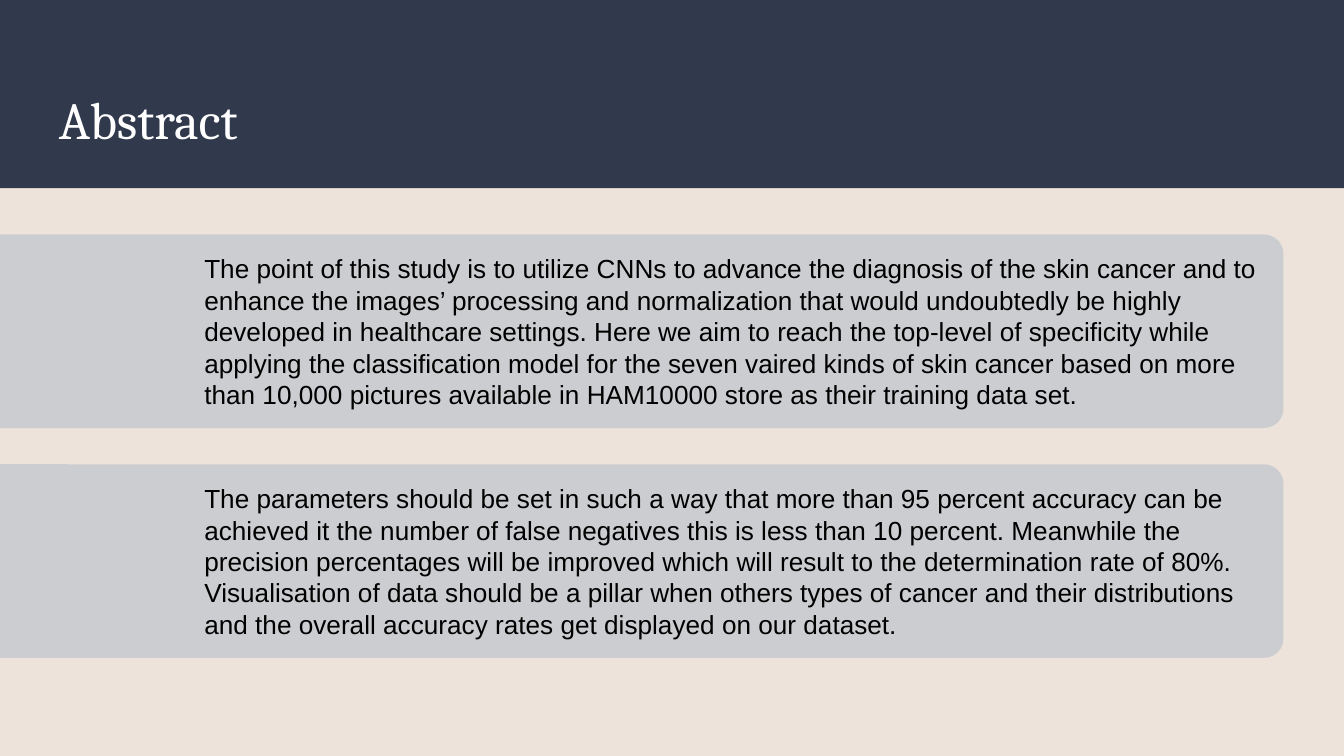
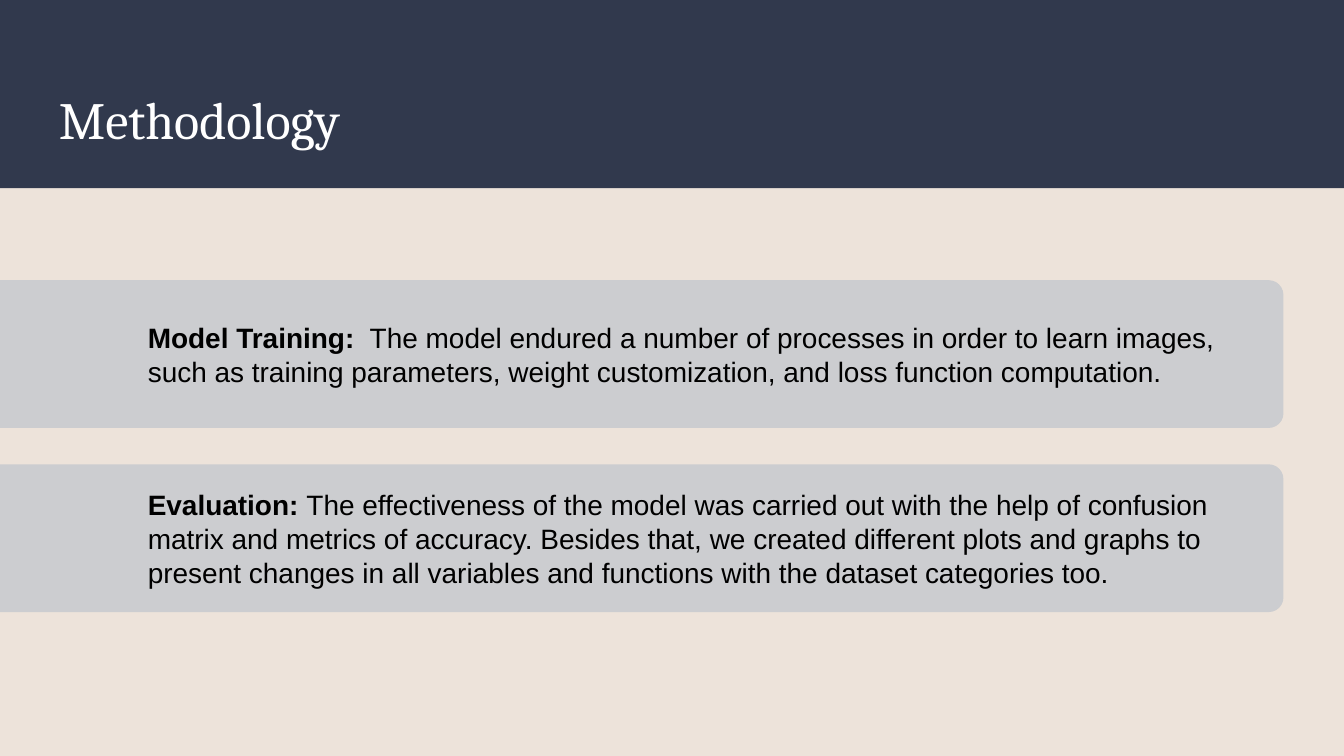
from pptx import Presentation
from pptx.dml.color import RGBColor
from pptx.enum.shapes import MSO_SHAPE as SHAPE
from pptx.enum.text import MSO_ANCHOR as ANCHOR
from pptx.util import Inches, Pt

NAVY, SAND, GREY = "31394D", "EDE3DA", "CCCDD0"
WHITE, BLACK = "FFFFFF", "000000"
HEAD_FONT, BODY_FONT = "Cambria", "Arial"

SLIDE_W = 10
SLIDE_H = SLIDE_W * 9 / 16
BAND_H = 1.4
CARD_LEFT, CARD_RIGHT = -0.29, 9.55
CARDS_MIDDLE, CARD_GAP = 3.32, 0.27

SLIDES = [
    {
        "title": "Abstract",
        "card_h": 1.44, "text_left": 1.37, "inset": 0.15, "size": 14,
        "cards": [
            [("The point of this study is to utilize CNNs to advance the diagnosis of the skin "
              "cancer and to enhance the images’ processing and normalization that would "
              "undoubtedly be highly developed in healthcare settings. Here we aim to reach the "
              "top-level of specificity while applying the classification model for the seven "
              "vaired kinds of skin cancer based on more than 10,000 pictures available in "
              "HAM10000 store as their training data set.", False)],
            [("The parameters should be set in such a way that more than 95 percent accuracy can "
              "be achieved it the number of false negatives this is less than 10 percent. "
              "Meanwhile the precision percentages will be improved which will result to the "
              "determination rate of 80%. Visualisation of data should be a pillar when others "
              "types of cancer and their distributions and the overall accuracy rates get "
              "displayed on our dataset.", False)],
        ],
    },
    {
        "title": "Methodology",
        "card_h": 1.1, "text_left": 0.98, "inset": 0.12, "size": 15,
        "cards": [
            [("Model Training: ", True),
             (" The model endured a number of processes in order to learn images, such as "
              "training parameters, weight customization, and loss function computation.", False)],
            [("Evaluation: ", True),
             ("The effectiveness of the model was carried out with the help of confusion matrix "
              "and metrics of accuracy. Besides that, we created different plots and graphs to "
              "present changes in all variables and functions with the dataset categories too.",
              False)],
        ],
    },
]


def rgb(color):
    return RGBColor.from_string(color)


def add_block(shapes, kind, x, y, w, h, color):
    sp = shapes.add_shape(kind, Inches(x), Inches(y), Inches(w), Inches(h))
    sp.shadow.inherit = False
    sp.fill.solid()
    sp.fill.fore_color.rgb = rgb(color)
    sp.line.fill.background()
    return sp


def add_text(shapes, runs, x, y, w, h, *, size, font=BODY_FONT, color=BLACK,
             inset=0.1, anchor=ANCHOR.TOP):
    tf = shapes.add_textbox(Inches(x), Inches(y), Inches(w), Inches(h)).text_frame
    tf.word_wrap = True
    tf.vertical_anchor = anchor
    tf.margin_left = tf.margin_right = tf.margin_top = tf.margin_bottom = Inches(inset)
    p = tf.paragraphs[0]
    p.line_spacing = 1.0
    for text, bold in runs:
        r = p.add_run()
        r.text = text
        r.font.name = font
        r.font.size = Pt(size)
        r.font.bold = bold
        r.font.color.rgb = rgb(color)


def add_header(s, title):
    add_block(s.shapes, SHAPE.RECTANGLE, 0, 0, SLIDE_W, BAND_H, NAVY)
    add_text(s.shapes, [(title, False)], 0.34, 0.55, 9.32, 0.68,
             size=28, font=HEAD_FONT, color=WHITE)


def add_cards(s, content):
    cards, h, left = content["cards"], content["card_h"], content["text_left"]
    pitch = h + CARD_GAP
    top = CARDS_MIDDLE - (len(cards) * pitch - CARD_GAP) / 2
    group = s.shapes.add_group_shape().shapes
    for i, runs in enumerate(cards):
        y = top + i * pitch
        card = add_block(group, SHAPE.ROUNDED_RECTANGLE, CARD_LEFT, y,
                         CARD_RIGHT - CARD_LEFT, h, GREY)
        card.adjustments[0] = 0.1
        add_text(group, runs, left, y, CARD_RIGHT - left, h, size=content["size"],
                 inset=content["inset"], anchor=ANCHOR.MIDDLE)


def main():
    prs = Presentation()
    prs.slide_width, prs.slide_height = Inches(SLIDE_W), Inches(SLIDE_H)
    blank = prs.slide_layouts[6]
    for content in SLIDES:
        s = prs.slides.add_slide(blank)
        s.background.fill.solid()
        s.background.fill.fore_color.rgb = rgb(SAND)
        add_header(s, content["title"])
        add_cards(s, content)
    prs.save("out.pptx")


if __name__ == "__main__":
    main()
